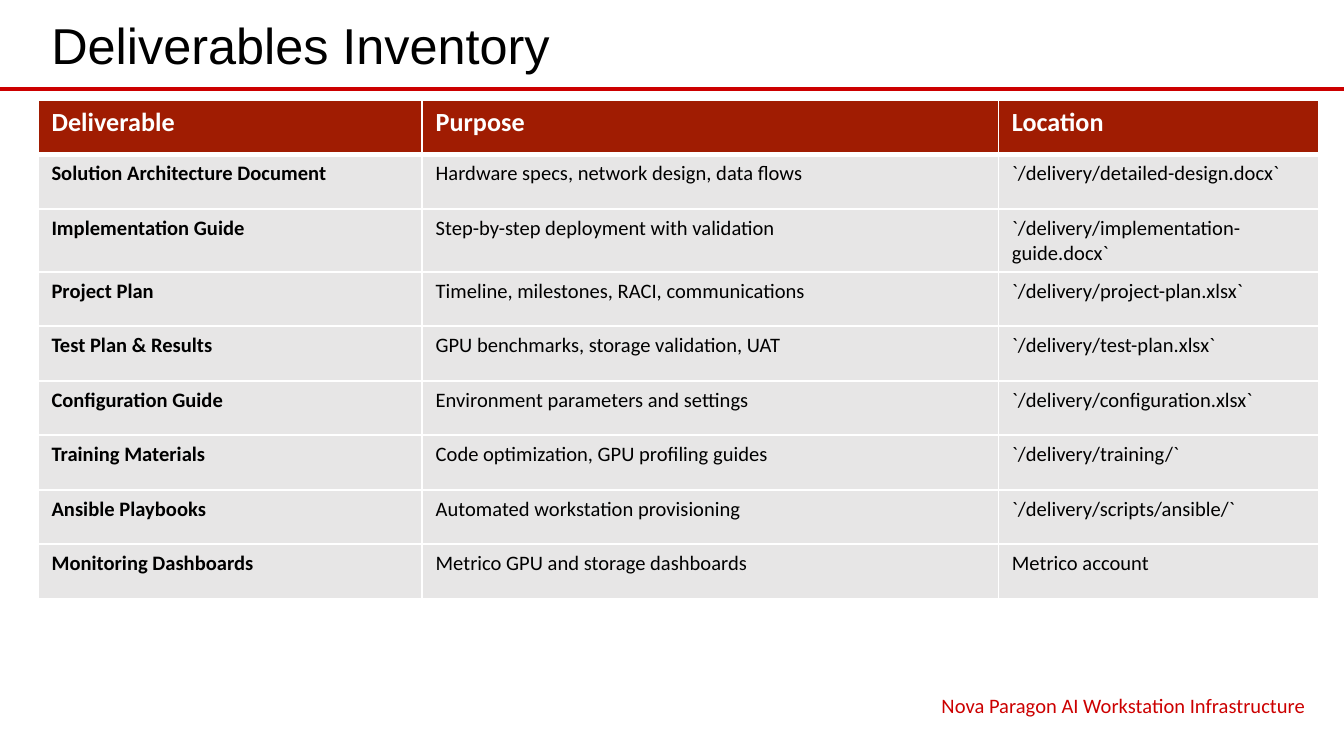
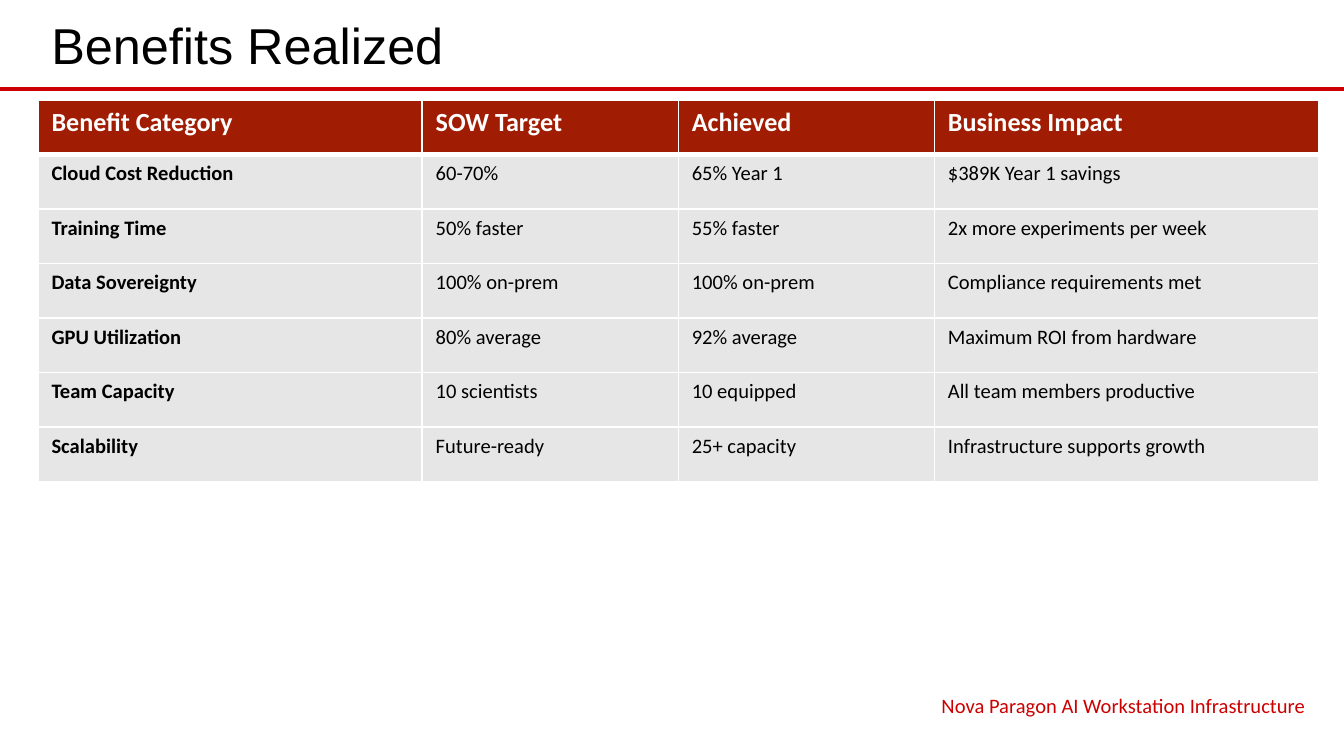
from lxml import etree
from pptx import Presentation
from pptx import util as u
from pptx.dml.color import RGBColor
from pptx.enum import shapes, text
from pptx.oxml import ns

RED = RGBColor(0xCC, 0x00, 0x00)
BRICK = RGBColor(0xA0, 0x1C, 0x02)
GREY = RGBColor(0xE7, 0xE6, 0xE6)
WHITE = RGBColor(0xFF, 0xFF, 0xFF)
BLACK = RGBColor(0x00, 0x00, 0x00)

WIDE, HIGH = 25.4, 14.29
LEFT, SPAN = 0.72, 24.2
ROW = 1.03
FOOTER = "Nova Paragon AI Workstation Infrastructure"

ITEMS = [
    ("Deliverable", "Purpose", "Location"),
    ("Solution Architecture Document", "Hardware specs, network design, data flows",
     "`/delivery/detailed-design.docx`"),
    ("Implementation Guide", "Step-by-step deployment with validation",
     "`/delivery/implementation-guide.docx`"),
    ("Project Plan", "Timeline, milestones, RACI, communications",
     "`/delivery/project-plan.xlsx`"),
    ("Test Plan & Results", "GPU benchmarks, storage validation, UAT",
     "`/delivery/test-plan.xlsx`"),
    ("Configuration Guide", "Environment parameters and settings",
     "`/delivery/configuration.xlsx`"),
    ("Training Materials", "Code optimization, GPU profiling guides",
     "`/delivery/training/`"),
    ("Ansible Playbooks", "Automated workstation provisioning",
     "`/delivery/scripts/ansible/`"),
    ("Monitoring Dashboards", "Metrico GPU and storage dashboards", "Metrico account"),
]
GAINS = [
    ("Benefit Category", "SOW Target", "Achieved", "Business Impact"),
    ("Cloud Cost Reduction", "60-70%", "65% Year 1", "$389K Year 1 savings"),
    ("Training Time", "50% faster", "55% faster", "2x more experiments per week"),
    ("Data Sovereignty", "100% on-prem", "100% on-prem", "Compliance requirements met"),
    ("GPU Utilization", "80% average", "92% average", "Maximum ROI from hardware"),
    ("Team Capacity", "10 scientists", "10 equipped", "All team members productive"),
    ("Scalability", "Future-ready", "25+ capacity", "Infrastructure supports growth"),
]


def write(frame, words, size=11, color=BLACK, font="Calibri", bold=False,
          align=text.PP_ALIGN.LEFT):
    frame.word_wrap = True
    para = frame.paragraphs[0]
    para.alignment = align
    run = para.add_run()
    run.text = words
    run.font.name = font
    run.font.size = u.Pt(size)
    run.font.bold = bold
    run.font.color.rgb = color


class Deck:
    """Hold the shared style and the current slide."""

    def __init__(self):
        self.deck = Presentation()
        self.deck.slide_width = u.Cm(WIDE)
        self.deck.slide_height = u.Cm(HIGH)

    def page(self, title, rows, parts):
        self.slide = self.deck.slides.add_slide(self.deck.slide_layouts[6])
        self.rule(1.68)
        self.label(title, LEFT, 0.1, SPAN, 1.47, size=27, font="Arial")
        self.grid(rows, parts)
        self.label(FOOTER, 15.98, 13, 8.94, 0.66, color=RED,
                   align=text.PP_ALIGN.RIGHT)

    def rule(self, top):
        line = self.slide.shapes.add_connector(
            shapes.MSO_CONNECTOR.STRAIGHT, 0, u.Cm(top), u.Cm(WIDE), u.Cm(top))
        line.line.color.rgb = RED
        line.line.width = u.Pt(2.25)
        etree.SubElement(line.element.spPr, ns.qn("a:effectLst"))

    def label(self, words, left, top, width, height, **style):
        box = self.slide.shapes.add_textbox(
            u.Cm(left), u.Cm(top), u.Cm(width), u.Cm(height))
        box.text_frame.vertical_anchor = text.MSO_ANCHOR.MIDDLE
        write(box.text_frame, words, **style)

    def grid(self, rows, parts):
        table = self.slide.shapes.add_table(
            len(rows), len(parts), u.Cm(LEFT), u.Cm(1.89),
            u.Cm(SPAN), u.Cm(ROW * len(rows))).table
        table.horz_banding = False
        for col, part in zip(table.columns, parts):
            col.width = u.Cm(SPAN * part / 100)
        for r, row in enumerate(rows):
            for c, words in enumerate(row):
                self.cell(table.cell(r, c), words, r, c)

    def cell(self, cell, words, r, c):
        head = r == 0
        self.edge(cell, L=1, R=1, T=3 if r == 1 else 1, B=3 if head else 1)
        cell.fill.solid()
        cell.fill.fore_color.rgb = BRICK if head else GREY
        write(cell.text_frame, words, size=14 if head else 11,
              color=WHITE if head else BLACK, bold=head or c == 0)

    def edge(self, cell, **sides):
        props = cell._tc.get_or_add_tcPr()
        for side, width in sides.items():
            line = etree.SubElement(props, ns.qn("a:ln" + side), w=str(u.Pt(width)))
            fill = etree.SubElement(line, ns.qn("a:solidFill"))
            etree.SubElement(fill, ns.qn("a:srgbClr"), val=str(WHITE))


def main():
    show = Deck()
    show.page("Deliverables Inventory", ITEMS, (30, 45, 25))
    show.page("Benefits Realized", GAINS, (30, 20, 20, 30))
    show.deck.save("out.pptx")


if __name__ == "__main__":
    main()
